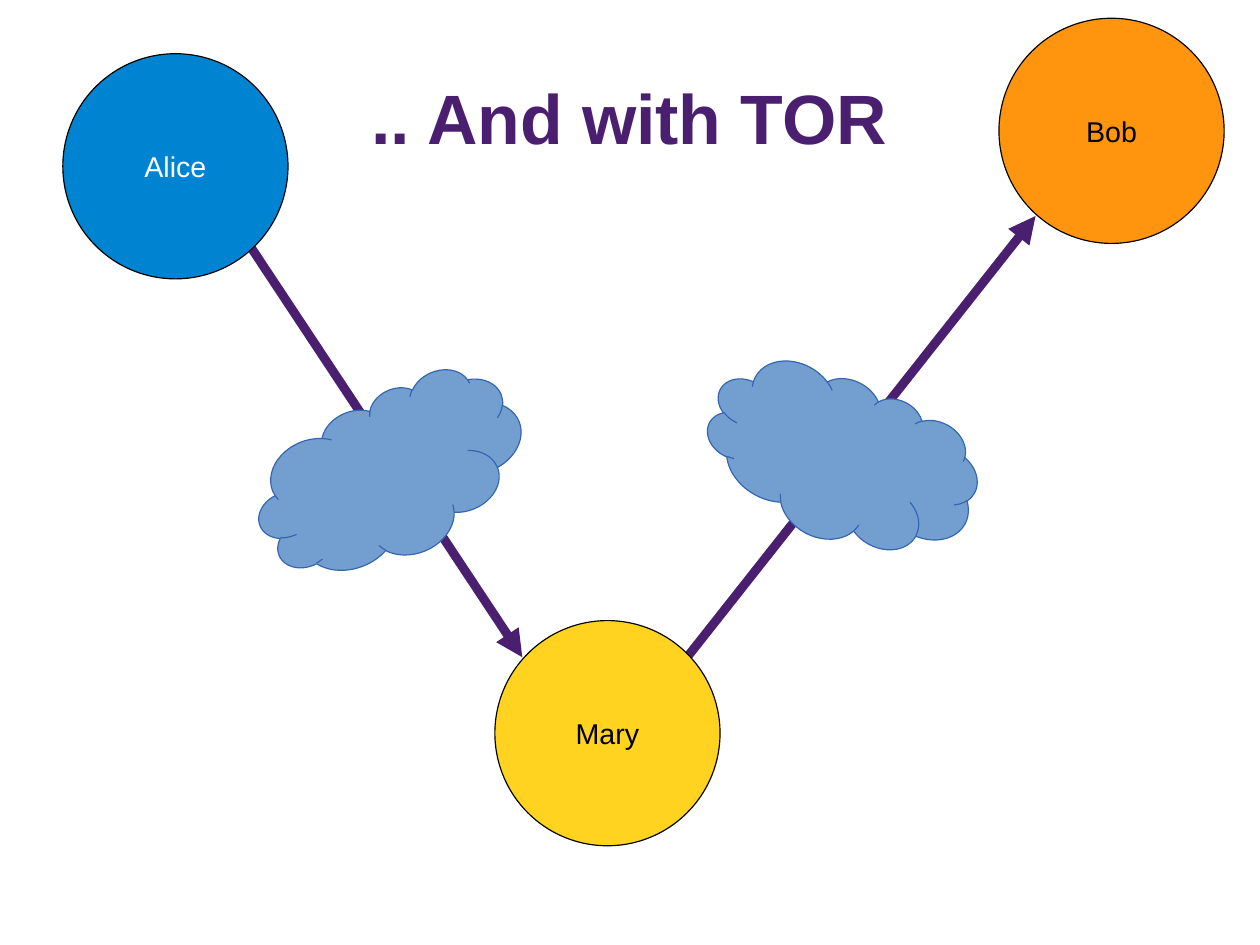
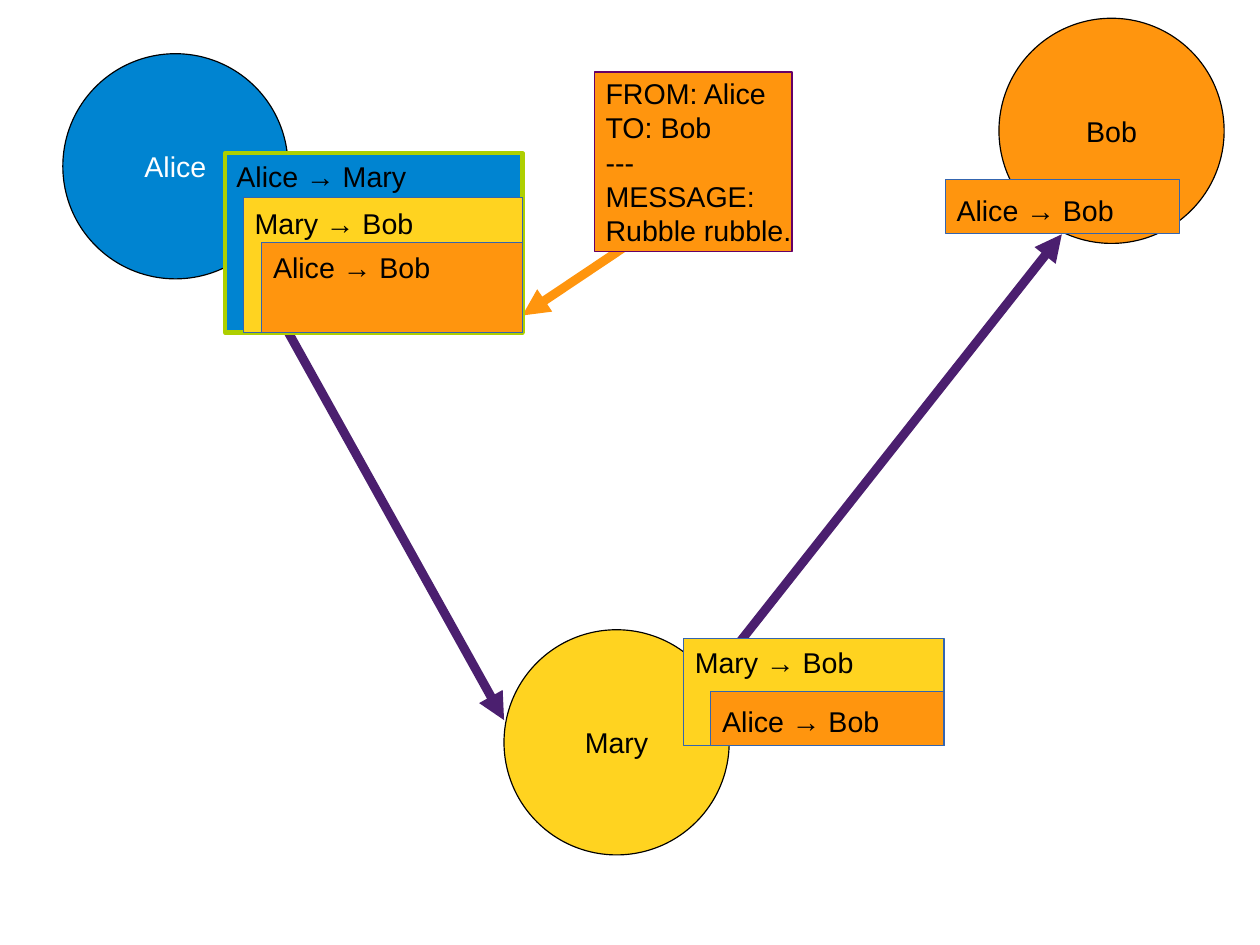
from dataclasses import dataclass

from lxml import etree
from pptx import Presentation
from pptx.dml.color import RGBColor
from pptx.enum.shapes import MSO_CONNECTOR, MSO_SHAPE
from pptx.enum.text import MSO_ANCHOR, PP_ALIGN
from pptx.oxml.ns import qn
from pptx.util import Inches, Pt

STRAIGHT = MSO_CONNECTOR.STRAIGHT
OVAL, CLOUD, RECTANGLE = MSO_SHAPE.OVAL, MSO_SHAPE.CLOUD, MSO_SHAPE.RECTANGLE
TOP, MIDDLE = MSO_ANCHOR.TOP, MSO_ANCHOR.MIDDLE
LEFT, CENTER = PP_ALIGN.LEFT, PP_ALIGN.CENTER


@dataclass(frozen=True)
class Theme:
    font: str = "Arial"
    title_size: float = 44
    body_size: float = 18
    arrow_width: float = 5.67
    outer_edge_width: float = 2.83
    purple: str = "4B1F6F"
    blue: str = "0084D1"
    yellow: str = "FFD320"
    orange: str = "FF950E"
    cloud: str = "729FCF"
    edge: str = "3465AF"
    message_edge: str = "660066"
    lime: str = "AECF00"
    black: str = "000000"
    white: str = "FFFFFF"


THEME = Theme()
CM_PER_INCH = 2.54
SLIDE_SIZE = (28 / CM_PER_INCH, 21 / CM_PER_INCH)  # a 28 by 21 cm page
CIRCLE_SIZE = 1.97
CLOUD_SIZE = (2.44, 1.42)
ALICE_AT = (0.55, 0.47)
BOB_AT = (8.74, 0.16)
ALICE_CENTRE = (1.65, 1.34)


def rgb(value):
    return RGBColor.from_string(value)


def write_text(shape, text, size=THEME.body_size, color=THEME.black, bold=False,
               align=CENTER, anchor=MIDDLE, wrap=False, insets=(0.1, 0.05)):
    """Fill a shape with text; insets are the side and top margins."""
    frame = shape.text_frame
    frame.word_wrap = wrap
    frame.vertical_anchor = anchor
    frame.margin_left = frame.margin_right = Inches(insets[0])
    frame.margin_top = Inches(insets[1])
    frame.margin_bottom = Inches(min(insets[1], 0.05))
    frame.text = text
    for paragraph in frame.paragraphs:
        paragraph.alignment = align
        font = paragraph.font
        font.name, font.size, font.bold = THEME.font, Pt(size), bold
        font.color.rgb = rgb(color)


def add_figure(slide, kind, box, fill, edge=THEME.edge, edge_width=0, rotation=0):
    shape = slide.shapes.add_shape(kind, *map(Inches, box))
    shape.shadow.inherit = False
    shape.fill.solid()
    shape.fill.fore_color.rgb = rgb(fill)
    shape.line.color.rgb = rgb(edge)
    shape.line.width = Pt(edge_width)
    shape.rotation = rotation
    return shape


def add_arrow(slide, start, end, color=THEME.purple):
    arrow = slide.shapes.add_connector(STRAIGHT, *map(Inches, (*start, *end)))
    arrow.line.color.rgb = rgb(color)
    arrow.line.width = Pt(THEME.arrow_width)
    etree.SubElement(arrow.line._get_or_add_ln(), qn("a:tailEnd"), type="triangle")
    etree.SubElement(arrow._element.spPr, qn("a:effectLst"))


def add_person(slide, name, position, fill, color=THEME.black):
    circle = add_figure(slide, OVAL, (*position, CIRCLE_SIZE, CIRCLE_SIZE),
                        fill, edge=THEME.black)
    write_text(circle, name, color=color)


def add_network(slide, mary_at, to_mary, from_mary, to_bob):
    """The three people and the route Alice, Mary, Bob."""
    add_person(slide, "Bob", BOB_AT, THEME.orange)
    add_arrow(slide, ALICE_CENTRE, to_mary)
    add_arrow(slide, from_mary, to_bob)
    add_person(slide, "Alice", ALICE_AT, THEME.blue, THEME.white)
    add_person(slide, "Mary", mary_at, THEME.yellow)


def add_title(slide, box, text):
    title = slide.shapes.add_textbox(*map(Inches, box))
    write_text(title, text, size=THEME.title_size, color=THEME.purple,
               bold=True, wrap=True, insets=(0, 0))


def add_envelopes(slide, box, step, layers):
    """Nested envelopes that share the lower right corner of the box."""
    left, top, width, height = box
    for index, (label, fill, drop, edge, edge_width) in enumerate(layers):
        across, down = index * step[0], index * step[1]
        envelope = add_figure(slide, RECTANGLE,
                              (left + across, top + down, width - across, height - down),
                              fill, edge, edge_width)
        write_text(envelope, label, align=LEFT, anchor=TOP, wrap=True,
                   insets=(0.1, 0.05 + drop))


def add_message(slide, box, lines):
    message = add_figure(slide, RECTANGLE, box, THEME.orange, THEME.message_edge)
    write_text(message, "\n".join(lines), align=LEFT)


def build_route_slide(slide):
    add_network(slide, mary_at=(4.33, 5.43), to_mary=(4.57, 5.75),
                from_mary=(5.83, 5.98), to_bob=(9.06, 1.89))
    add_title(slide, (0.55, 0.33, 9.92, 1.38), ".. And with TOR")
    # Clouds across both arrows
    for position, rotation in (((2.2, 3.46), 337.5), ((6.14, 3.31), 28.3)):
        add_figure(slide, CLOUD, (*position, *CLOUD_SIZE), THEME.cloud, rotation=rotation)


def build_envelope_slide(slide):
    add_network(slide, mary_at=(4.41, 5.51), to_mary=(4.41, 6.3),
                from_mary=(6.06, 6.14), to_bob=(9.29, 2.05))
    # Message and its way into the innermost envelope
    add_arrow(slide, (5.51, 2.13), (4.57, 2.76), THEME.orange)
    add_message(slide, (5.2, 0.63, 1.73, 1.57),
                ("FROM: Alice", "TO: Bob", "---", "MESSAGE:", "Rubble rubble."))

    # Envelopes at Alice, at Mary and at Bob
    def to_bob(drop):
        return "Alice → Bob", THEME.orange, drop, THEME.edge, 0

    def to_next(drop):
        return "Mary → Bob", THEME.yellow, drop, THEME.edge, 0

    outer = "Alice → Mary", THEME.blue, 0, THEME.lime, THEME.outer_edge_width
    add_envelopes(slide, (1.97, 1.34, 2.6, 1.57), (0.16, 0.39),
                  (outer, to_next(0.02), to_bob(0.02)))
    add_envelopes(slide, (5.98, 5.59, 2.28, 0.93), (0.24, 0.46),
                  (to_next(0), to_bob(0.06)))
    add_envelopes(slide, (8.27, 1.57, 2.05, 0.47), (0, 0), (to_bob(0.07),))


def main():
    presentation = Presentation()
    presentation.slide_width, presentation.slide_height = map(Inches, SLIDE_SIZE)
    blank = presentation.slide_layouts[6]
    for build in (build_route_slide, build_envelope_slide):
        build(presentation.slides.add_slide(blank))
    presentation.save("out.pptx")


if __name__ == "__main__":
    main()
